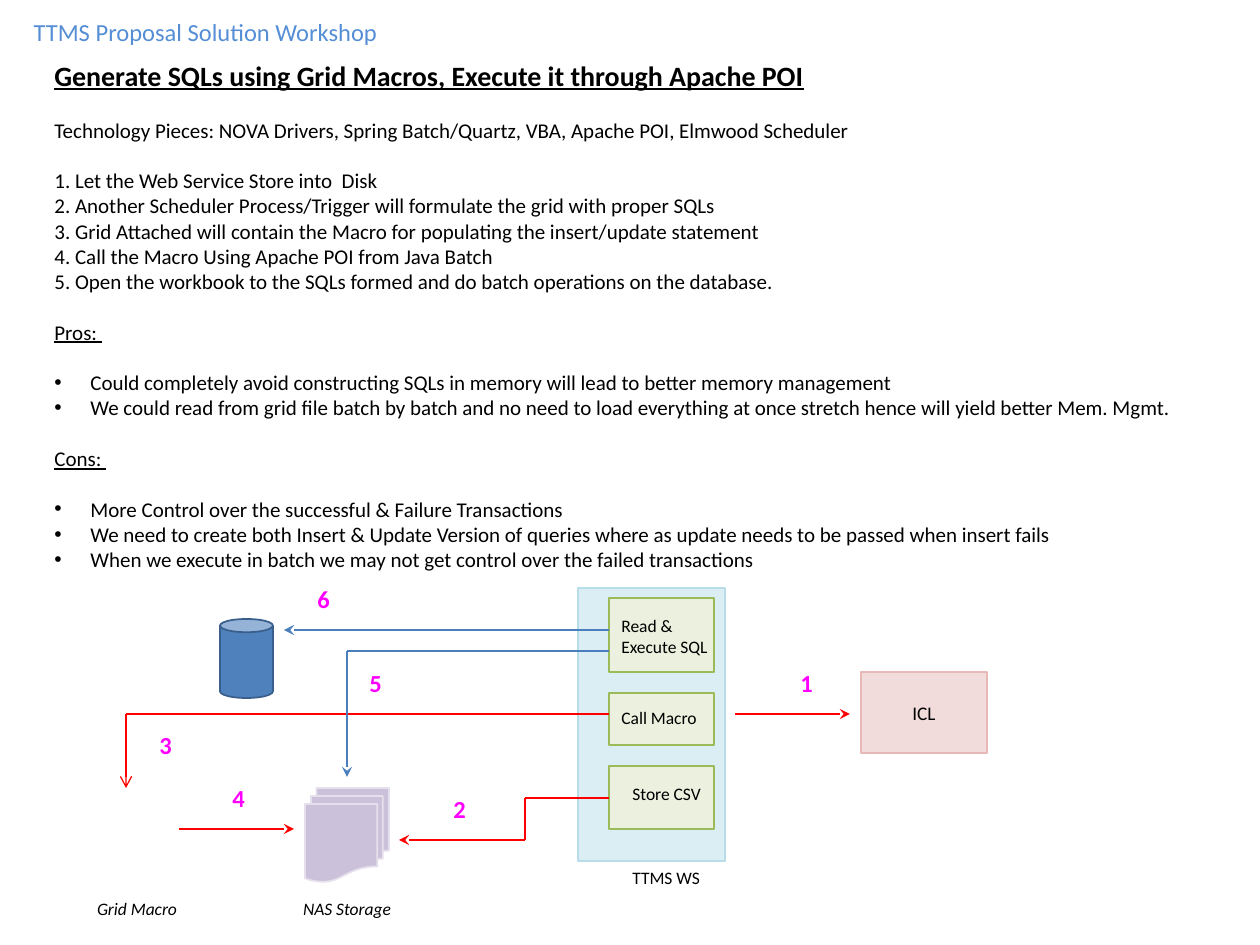
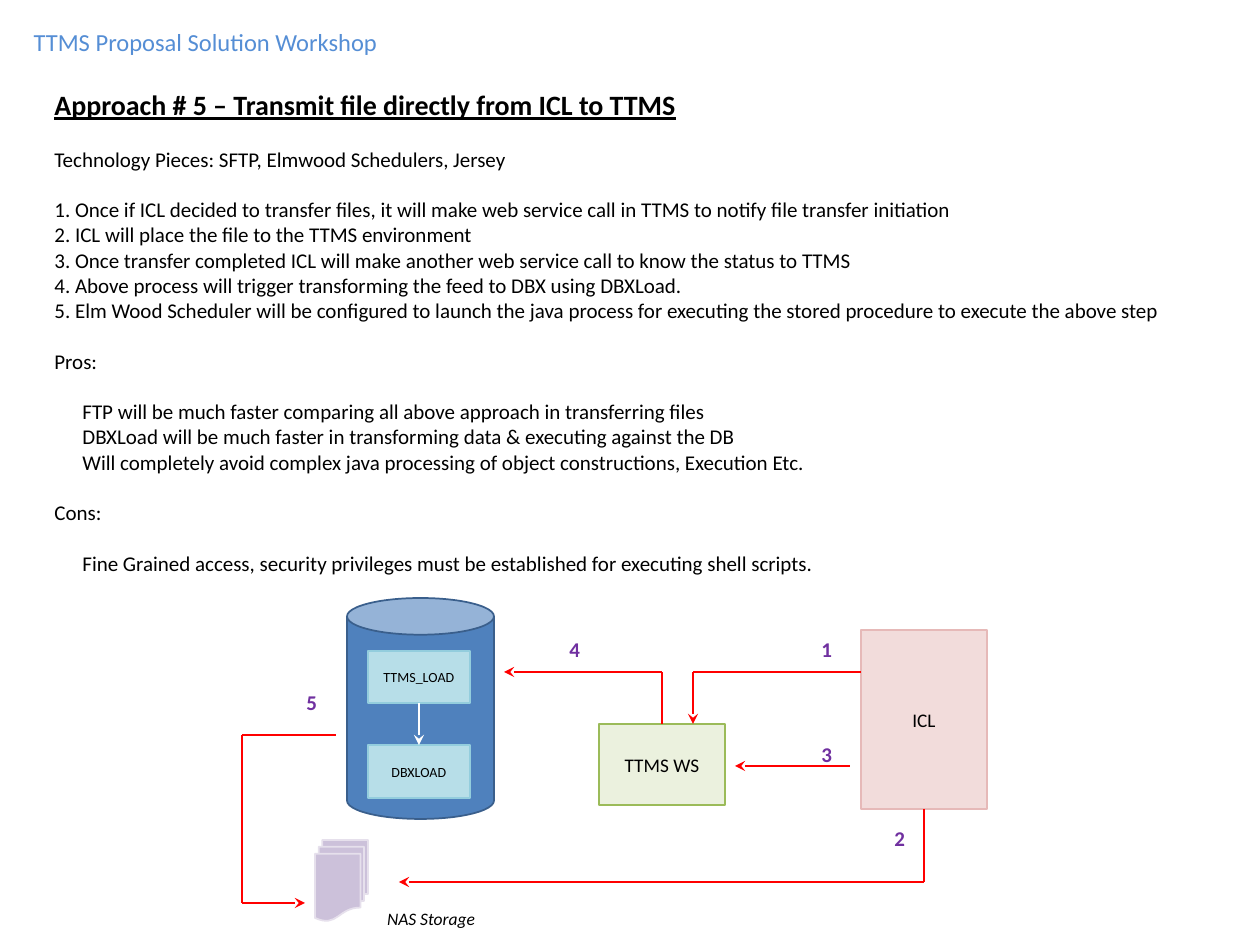
from lxml import etree
from pptx import Presentation
from pptx import util as u
from pptx.dml.color import RGBColor
from pptx.enum import shapes, text
from pptx.oxml import ns

# Theme: colours as (fill, line, line width) and type styles
THEME = {
    "font": "Calibri",
    "box": {
        "zone": ("DBEEF4", "B7DEE8", 0.75),
        "step": ("EBF1DE", "9BBB59", 0.75),
        "peer": ("F2DCDB", "E6B9B8", 0.75),
        "job": ("B7DEE8", "93CDDD", 0.75),
        "files": ("CCC1DA", "E6E0EC", 1),
        "store": ("4F81BD", "3A5F8C", 1),
    },
    "line": {"red": "FF0000", "blue": "4B7EBC", "white": "FFFFFF"},
    "type": {
        "title": ("558ED5", dict(size=u.Pt(14), bold=False)),
        "head": ("000000", dict(size=u.Pt(16), bold=True, underline=True)),
        "body": ("000000", dict(size=u.Pt(12))),
        "under": ("000000", dict(size=u.Pt(12), underline=True)),
        "box": ("000000", dict(size=u.Pt(11))),
        "job": ("000000", dict(size=u.Pt(8))),
        "label": ("000000", dict(size=u.Pt(10))),
        "note": ("000000", dict(size=u.Pt(10), italic=True)),
        "pink": ("FF00FF", dict(size=u.Pt(14), bold=True)),
        "plum": ("7030A0", dict(size=u.Pt(12), bold=True)),
    },
}
SCALE = 914400 / 126
GAP = u.Pt(14.5)  # one body line between blocks
TITLE = "TTMS Proposal Solution Workshop"
FORM = {
    "zone": shapes.MSO_SHAPE.RECTANGLE,
    "step": shapes.MSO_SHAPE.RECTANGLE,
    "peer": shapes.MSO_SHAPE.RECTANGLE,
    "job": shapes.MSO_SHAPE.RECTANGLE,
    "files": shapes.MSO_SHAPE.FLOWCHART_MULTIDOCUMENT,
    "store": shapes.MSO_SHAPE.CAN,
}

# Content: blocks are (style, indent, bullet, lines); boxes and labels carry
# left, top, width, height; routes end in an arrowhead
SLIDES = [
    {
        "top": 11,
        "body": (42, 52, 1155, 530),
        "blocks": [
            ("head", 0, False, ["Generate SQLs using Grid Macros, Execute it through Apache POI"]),
            ("body", 0, False, ["Technology Pieces: NOVA Drivers, Spring Batch/Quartz, VBA, Apache POI, Elmwood Scheduler"]),
            ("body", 0, False, [
                "1. Let the Web Service Store into  Disk",
                "2. Another Scheduler Process/Trigger will formulate the grid with proper SQLs",
                "3. Grid Attached will contain the Macro for populating the insert/update statement",
                "4. Call the Macro Using Apache POI from Java Batch",
                "5. Open the workbook to the SQLs formed and do batch operations on the database.",
            ]),
            ("under", 0, False, ["Pros: "]),
            ("body", 36, True, [
                "Could completely avoid constructing SQLs in memory will lead to better memory management",
                "We could read from grid file batch by batch and no need to load everything at once stretch hence will yield better Mem. Mgmt.",
            ]),
            ("under", 0, False, ["Cons: "]),
            ("body", 36, True, [
                "More Control over the successful & Failure Transactions",
                "We need to create both Insert & Update Version of queries where as update needs to be passed when insert fails",
                "When we execute in batch we may not get control over the failed transactions",
            ]),
        ],
        "boxes": [
            ("zone", (578, 588, 147, 273), ""),
            ("step", (609, 598, 105, 74), ""),
            ("step", (609, 693, 105, 52), ""),
            ("step", (609, 766, 105, 63), ""),
            ("peer", (861, 672, 126, 81), "ICL"),
            ("files", (305, 788, 84, 94), ""),
            ("store", (220, 619, 53, 79), ""),
        ],
        "routes": [
            ("red", "stealth", [(735, 714), (850, 714)]),
            ("red", "stealth", [(609, 798), (525, 798), (525, 840), (399, 840)]),
            ("red", "arrow", [(609, 714), (126, 714), (126, 788)]),
            ("red", "stealth", [(179, 829), (294, 829)]),
            ("blue", "stealth", [(609, 651), (347, 651), (347, 777)]),
            ("blue", "stealth", [(609, 630), (284, 630)]),
        ],
        "labels": [
            ("label", (609, 609, 116, 55), "Read & Execute SQL"),
            ("label", (609, 701, 105, 34), "Call Macro"),
            ("label", (620, 777, 105, 34), "Store CSV"),
            ("label", (620, 861, 105, 34), "TTMS WS"),
            ("note", (74, 882, 126, 53), "Grid Macro"),
            ("note", (284, 882, 126, 53), "NAS Storage"),
        ],
        "mark": ("pink", 38, 43),
        "marks": [(788, 662), (441, 788), (147, 724), (220, 777), (357, 662), (305, 578)],
    },
    {
        "top": 21,
        "body": (42, 81, 1155, 505),
        "blocks": [
            ("head", 0, False, ["Approach # 5 – Transmit file directly from ICL to TTMS"]),
            ("body", 0, False, ["Technology Pieces: SFTP, Elmwood Schedulers, Jersey"]),
            ("body", 0, False, [
                "1. Once if ICL decided to transfer files, it will make web service call in TTMS to notify file transfer initiation",
                "2. ICL will place the file to the TTMS environment",
                "3. Once transfer completed ICL will make another web service call to know the status to TTMS",
                "4. Above process will trigger transforming the feed to DBX using DBXLoad.",
                "5. Elm Wood Scheduler will be configured to launch the java process for executing the stored procedure to execute the above step",
            ]),
            ("body", 0, False, ["Pros:"]),
            ("body", 28, False, [
                "FTP will be much faster comparing all above approach in transferring files",
                "DBXLoad will be much faster in transforming data & executing against the DB",
                "Will completely avoid complex java processing of object constructions, Execution Etc.",
            ]),
            ("body", 0, False, ["Cons:"]),
            ("body", 28, False, ["Fine Grained access, security privileges must be established for executing shell scripts."]),
        ],
        "boxes": [
            ("step", (599, 724, 126, 81), "TTMS WS"),
            ("peer", (861, 630, 126, 179), "ICL"),
            ("files", (315, 840, 53, 81), ""),
            ("store", (347, 598, 147, 221), ""),
            ("job", (368, 651, 102, 52), "TTMS_LOAD"),
            ("job", (368, 745, 102, 53), "DBXLOAD"),
        ],
        "routes": [
            ("red", "stealth", [(861, 672), (693, 672), (693, 724)]),
            ("red", "stealth", [(662, 724), (662, 672), (504, 672)]),
            ("red", "stealth", [(924, 809), (924, 882), (399, 882)]),
            ("red", "stealth", [(850, 766), (735, 766)]),
            ("red", "stealth", [(336, 735), (242, 735), (242, 903), (305, 903)]),
            ("white", "stealth", [(419, 703), (419, 745)]),
        ],
        "labels": [("note", (368, 892, 126, 53), "NAS Storage")],
        "mark": ("plum", 37, 38),
        "marks": [(809, 630), (882, 819), (809, 735), (557, 630), (294, 683)],
    },
]


def px(n):
    return u.Emu(round(n * SCALE))


def color(code):
    return RGBColor.from_string(code)


def assign(item, **vals):
    for key, val in vals.items():
        setattr(item, key, val)


def write(para, words, style):
    run = para.add_run()
    run.text = words
    code, vals = THEME["type"][style]
    assign(run.font, name=THEME["font"], **vals)
    run.font.color.rgb = color(code)


def label(page, style, area, words, wrap=True):
    box = page.shapes.add_textbox(*map(px, area))
    assign(box.text_frame, word_wrap=wrap)
    para = box.text_frame.paragraphs[0]
    if style == "note":
        box.text_frame.vertical_anchor = text.MSO_ANCHOR.MIDDLE
        para.alignment = text.PP_ALIGN.CENTER
    write(para, words, style)


def title(page, top):
    head = page.shapes.title
    assign(head, left=px(21), top=px(top), width=px(373), height=px(43))
    assign(head.text_frame, word_wrap=False, auto_size=text.MSO_AUTO_SIZE.NONE,
           vertical_anchor=text.MSO_ANCHOR.TOP)
    para = head.text_frame.paragraphs[0]
    para.alignment = text.PP_ALIGN.LEFT
    write(para, TITLE, "title")


def body(page, area, blocks):
    frame = page.shapes.add_textbox(*map(px, area)).text_frame
    frame.word_wrap = True
    para = frame.paragraphs[0]
    for i, (style, indent, dot, lines) in enumerate(blocks):
        for j, words in enumerate(lines):
            if i or j:
                para = frame.add_paragraph()
            if i and not j:
                para.space_before = GAP
            props = para._p.get_or_add_pPr()
            if indent:
                props.set("marL", str(px(indent)))
            if dot:
                props.set("indent", str(-px(indent)))
                etree.SubElement(props, ns.qn("a:buFont"), typeface="Arial")
                etree.SubElement(props, ns.qn("a:buChar"), char="•")
            write(para, words, style)


def block(page, kind, area, words):
    item = page.shapes.add_shape(FORM[kind], *map(px, area))
    item.shadow.inherit = False
    fill, edge, width = THEME["box"][kind]
    item.fill.solid()
    item.fill.fore_color.rgb = color(fill)
    item.line.color.rgb = color(edge)
    item.line.width = u.Pt(width)
    if words:
        assign(item.text_frame, vertical_anchor=text.MSO_ANCHOR.MIDDLE,
               word_wrap=True, margin_left=0, margin_right=0)
        para = item.text_frame.paragraphs[0]
        para.alignment = text.PP_ALIGN.CENTER
        write(para, words, "job" if kind == "job" else "box")


def route(page, tone, tip, dots):
    for start, end in zip(dots, dots[1:]):
        line = page.shapes.add_connector(
            shapes.MSO_CONNECTOR.STRAIGHT, *map(px, start + end))
        line.line.color.rgb = color(THEME["line"][tone])
        line.line.width = u.Pt(0.75)
        etree.SubElement(line._element.spPr, ns.qn("a:effectLst"))
    # Only the last leg has an arrowhead
    etree.SubElement(line.line._get_or_add_ln(), ns.qn("a:tailEnd"), type=tip)


# Build
deck = Presentation()
assign(deck, slide_width=px(1260), slide_height=px(945))
for data in SLIDES:
    page = deck.slides.add_slide(deck.slide_layouts[5])
    title(page, data["top"])
    for item in data["boxes"]:
        block(page, *item)
    body(page, data["body"], data["blocks"])
    for item in data["routes"]:
        route(page, *item)
    for item in data["labels"]:
        label(page, *item)
    style, wide, high = data["mark"]
    for num, spot in enumerate(data["marks"], 1):
        label(page, style, spot + (wide, high), str(num), wrap=False)
deck.save("out.pptx")
